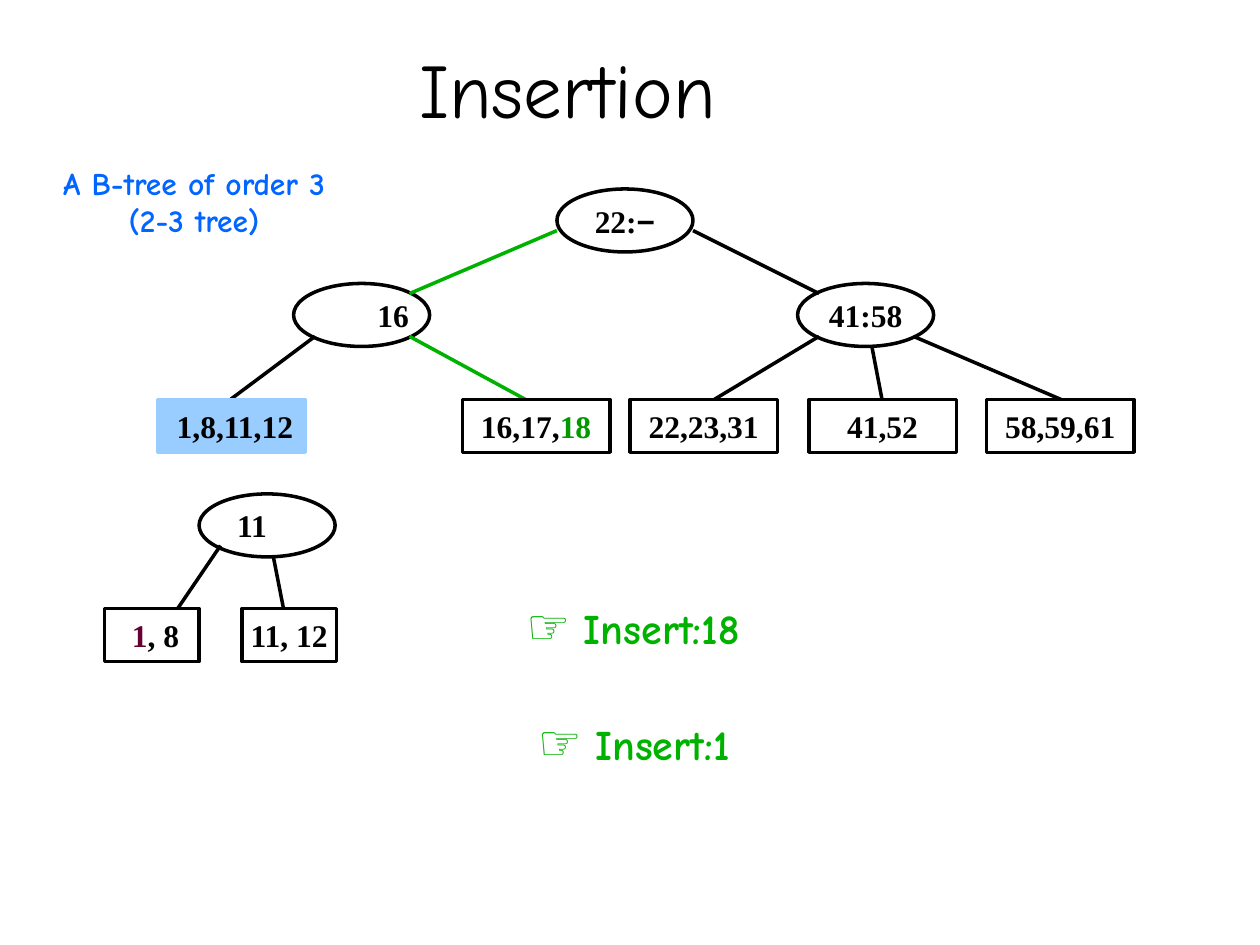
from lxml import etree
from pptx import Presentation
from pptx.dml.color import RGBColor
from pptx.enum import shapes, text
from pptx.oxml.ns import qn
from pptx.util import Inches, Pt

BLACK = RGBColor(0, 0, 0)
WHITE = RGBColor(255, 255, 255)
GREEN = RGBColor(0, 0xB2, 0)
LEAF = RGBColor(0, 0x99, 0)
WINE = RGBColor(0x66, 0, 0x33)
BLUE = RGBColor(0, 0x66, 0xFF)
SKY = RGBColor(0x99, 0xCC, 0xFF)
SERIF, HAND, SANS = "Times New Roman", "Comic Neue", "Arial"
OVAL, RECT = shapes.MSO_SHAPE.OVAL, shapes.MSO_SHAPE.RECTANGLE
CENTER = text.PP_ALIGN.CENTER

deck = Presentation()
deck.slide_width, deck.slide_height = Inches(10), Inches(7.5)
slide = deck.slides.add_slide(deck.slide_layouts[5])


def write(para, runs):
    """Add runs given as (words, size, font, colour, bold)."""
    for words, size, face, color, bold in runs:
        run = para.add_run()
        run.text = words
        run.font.size, run.font.name, run.font.bold = Pt(size), face, bold
        run.font.color.rgb = color


def node(kind, left, top, width, height, parts, shift=0, fill=None):
    """Draw a tree node; shift moves its centred key sideways."""
    shape = slide.shapes.add_shape(
        kind, Inches(left), Inches(top), Inches(width), Inches(height))
    shape.shadow.inherit = False
    if fill is None:
        shape.fill.background()
    else:
        shape.fill.solid()
        shape.fill.fore_color.rgb = fill
    shape.line.color.rgb = SKY if fill == SKY else BLACK
    shape.line.width = Pt(2)
    frame = shape.text_frame
    frame.word_wrap = False
    frame.vertical_anchor = text.MSO_ANCHOR.MIDDLE
    frame.margin_left = Inches(max(0, 2 * shift))
    frame.margin_right = Inches(max(0, -2 * shift))
    para = frame.paragraphs[0]
    para.alignment = CENTER
    write(para, [(words, 18, face, color, True) for words, face, color in parts])


title = slide.shapes.title
title.left, title.top = Inches(0.75), Inches(0.17)
title.width, title.height = Inches(7.51), Inches(1.05)
title.text_frame.vertical_anchor = text.MSO_ANCHOR.MIDDLE
title.text_frame.paragraphs[0].alignment = CENTER
write(title.text_frame.paragraphs[0], [("Insertion", 44, HAND, BLACK, False)])

# Inner nodes: left, top, key parts, sideways shift
ovals = [
    (4.42, 1.5, [("22:", SERIF, BLACK), ("−", SANS, BLACK)], 0),
    (2.33, 2.25, [("16", SERIF, BLACK)], 0.25),
    (6.33, 2.25, [("41:58", SERIF, BLACK)], 0),
    (1.58, 3.92, [("11", SERIF, BLACK)], -0.12),
]
for left, top, parts, shift in ovals:
    node(OVAL, left, top, 1.08, 0.5, parts, shift)

# Edges: start, end, colour
edges = [
    (4.42, 1.83, 3.25, 2.33, GREEN),
    (5.5, 1.83, 6.5, 2.33, BLACK),
    (2.5, 2.67, 1.83, 3.17, BLACK),
    (3.25, 2.67, 4.17, 3.17, GREEN),
    (6.5, 2.67, 5.67, 3.17, BLACK),
    (6.92, 2.75, 7, 3.17, BLACK),
    (7.25, 2.67, 8.42, 3.17, BLACK),
    (1.75, 4.33, 1.41, 4.83, BLACK),
    (2.17, 4.42, 2.25, 4.83, BLACK),
]
for x1, y1, x2, y2, color in edges:
    edge = slide.shapes.add_connector(
        shapes.MSO_CONNECTOR.STRAIGHT, Inches(x1), Inches(y1), Inches(x2), Inches(y2))
    edge.line.color.rgb = color
    edge.line.width = Pt(2)
    etree.SubElement(edge._element.spPr, qn("a:effectLst"))

# Leaves: left, top, width, key parts, sideways shift, fill
leaves = [
    (1.25, 3.17, 1.17, [("1,8,11,12", SERIF, BLACK)], 0.03, SKY),
    (3.67, 3.17, 1.17, [("16,17,", SERIF, BLACK), ("18", SERIF, LEAF)], 0, WHITE),
    (5, 3.17, 1.17, [("22,23,31", SERIF, BLACK)], 0, None),
    (6.42, 3.17, 1.17, [("41,52", SERIF, BLACK)], 0, None),
    (7.83, 3.17, 1.17, [("58,59,61", SERIF, BLACK)], 0, None),
    (0.83, 4.83, 0.75, [("1", SERIF, WINE), (", 8", SERIF, BLACK)], 0.03, None),
    (1.92, 4.83, 0.75, [("11, 12", SERIF, BLACK)], 0, None),
]
for left, top, width, parts, shift, fill in leaves:
    node(RECT, left, top, width, 0.42, parts, shift, fill)

# Notes: left, top, width, height, alignment, paragraphs
hand = ("☞ ", 28, SANS, GREEN, True)
notes = [
    (-0.25, 1.25, 3.58, 0.7, CENTER,
     [[("A B-tree of order 3", 18, HAND, BLUE, True)],
      [("(2-3 tree)", 18, HAND, BLUE, True)]]),
    (4.08, 4.68, 2.58, 0.57, text.PP_ALIGN.LEFT,
     [[hand, ("Insert:18", 24, HAND, GREEN, True)]]),
    (4.17, 5.6, 2.58, 0.57, text.PP_ALIGN.LEFT,
     [[hand, ("Insert:1", 24, HAND, GREEN, True)]]),
]
for left, top, width, height, align, paras in notes:
    box = slide.shapes.add_textbox(
        Inches(left), Inches(top), Inches(width), Inches(height))
    frame = box.text_frame
    frame.word_wrap = True
    for i, runs in enumerate(paras):
        para = frame.add_paragraph() if i else frame.paragraphs[0]
        para.alignment = align
        write(para, runs)

deck.save("out.pptx")
